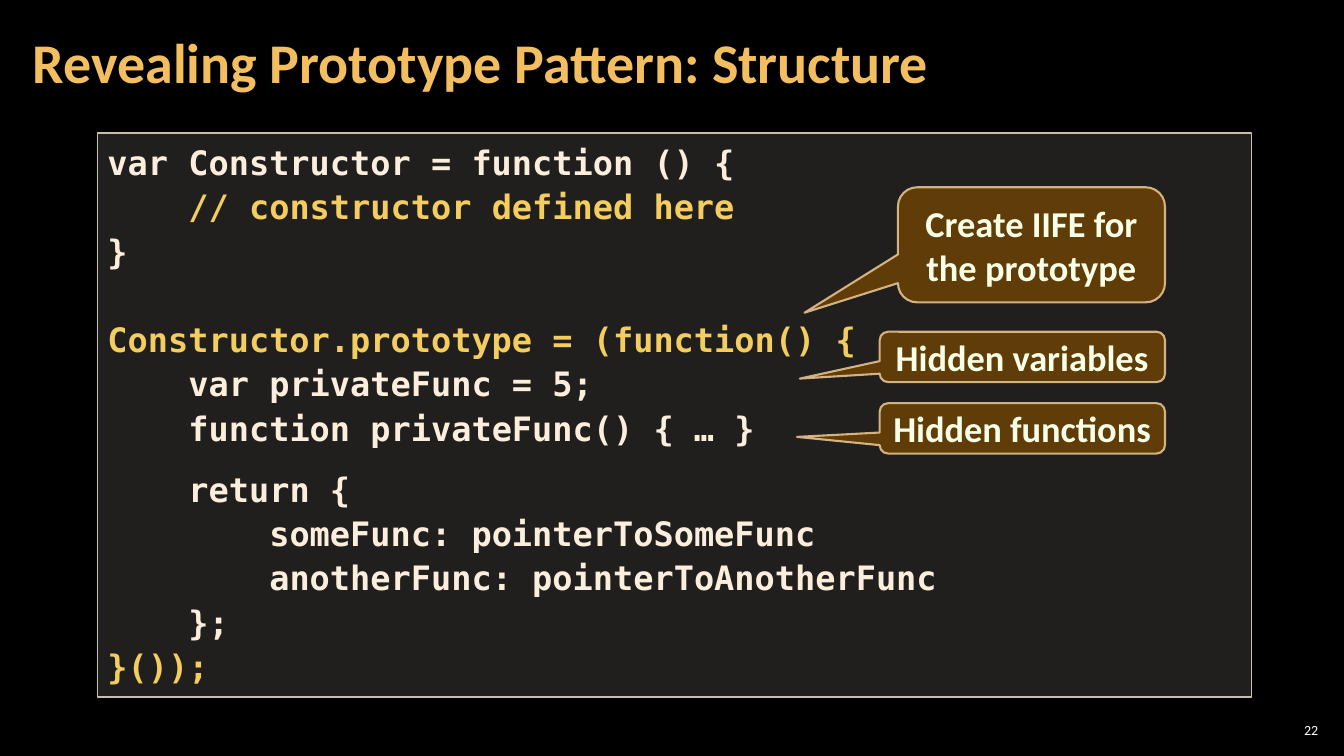
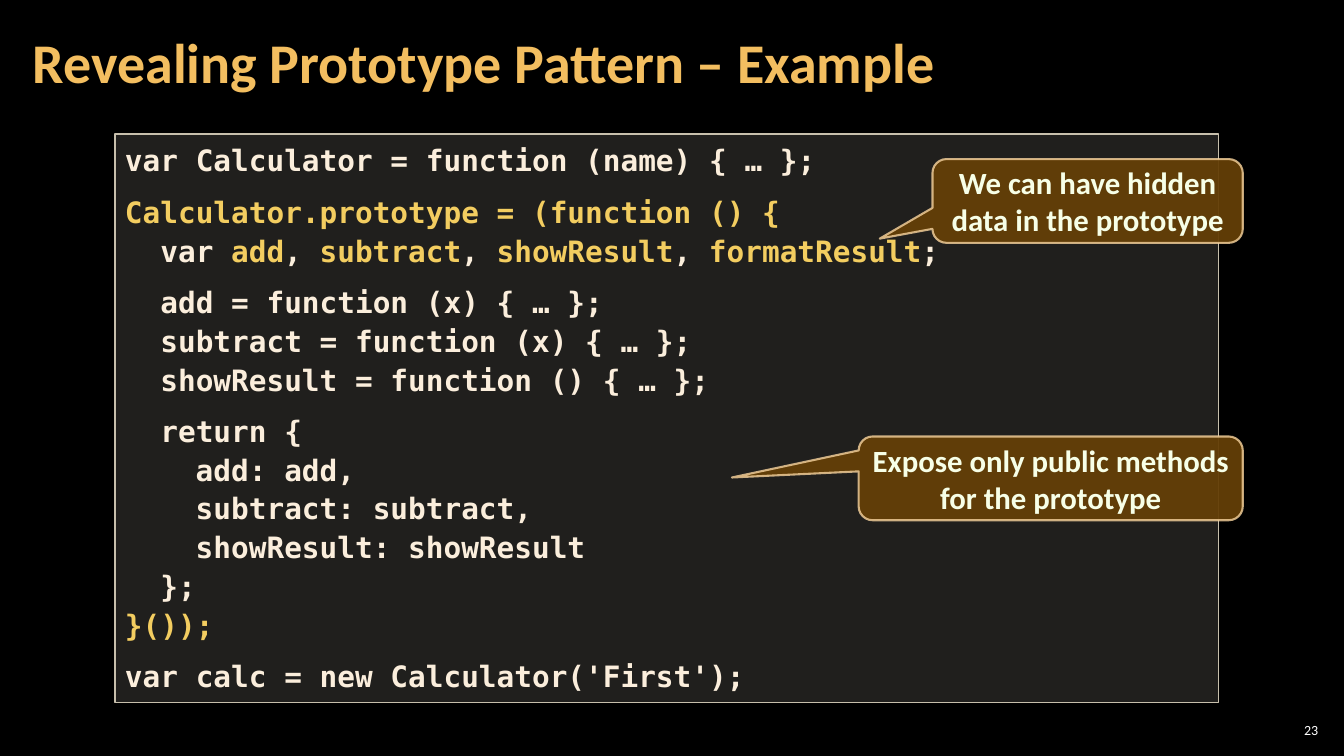
from dataclasses import dataclass
from lxml.etree import SubElement
from pptx import Presentation
from pptx.dml.color import RGBColor as RGB
from pptx.enum.shapes import MSO_SHAPE as SHAPE
from pptx.enum.text import MSO_ANCHOR as ANCHOR, PP_ALIGN as ALIGN
from pptx.oxml.ns import qn
from pptx.util import Cm, Pt


@dataclass(frozen=True)
class Theme:
    background: RGB = RGB.from_string("000000")
    title: RGB = RGB.from_string("F3BE60")
    number: RGB = RGB.from_string("FFFFFF")
    code: RGB = RGB.from_string("FBEEDC")
    highlight: RGB = RGB.from_string("F3CD60")
    panel: RGB = RGB.from_string("D9D5C7")
    panel_line: RGB = RGB.from_string("C7BFAC")
    callout: RGB = RGB.from_string("643F07")
    callout_line: RGB = RGB.from_string("F8D49E")
    callout_text: RGB = RGB.from_string("F7FFE7")
    sans: str = "Calibri"
    mono: str = "DejaVu Sans Mono"
    title_size: int = 40
    number_size: int = 10


T = Theme()
FIRST_NUMBER = 22
MONO_ADVANCE = 0.602  # character width as a share of the type size

# Code lines: (indent in characters, points before, text); text between bars is highlighted.
# Callouts: (left, top, width, height in cm, pointer x, pointer y, text).
SLIDES = [
    dict(
        title="Revealing Prototype Pattern: Structure",
        panel=(2.46, 3.35, 29.08, 14.22),
        code_size=24,
        code=[
            (0, 0, "var Constructor = function () {"),
            (4, 0, "|// constructor defined here|"),
            (0, 0, "}"),
            (0, 31.5, "|Constructor.prototype = (function() {|"),
            (4, 0, "var privateFunc = 5;"),
            (4, 0, "function privateFunc() { … }"),
            (4, 12, "return {"),
            (8, 0, "someFunc: pointerToSomeFunc"),
            (8, 0, "anotherFunc: pointerToAnotherFunc"),
            (4, 0, "};"),
            (0, 0, "|}());|"),
        ],
        callout_size=26,
        callouts=[
            (22.63, 4.72, 6.73, 2.9, -0.85, 0.59, "Create IIFE for the prototype"),
            (22.17, 8.36, 7.19, 1.27, -0.78, 0.43, "Hidden variables"),
            (22.17, 10.16, 7.19, 1.27, -0.79, 0.17, "Hidden functions"),
        ],
    ),
    dict(
        title="Revealing Prototype Pattern – Example",
        panel=(2.9, 3.38, 27.81, 14.33),
        code_size=21,
        code=[
            (0, 0, "var Calculator = function (name) { … };"),
            (0, 9, "|Calculator.prototype = (function () {|"),
            (2, 0, "var |add|, |subtract|, |showResult|, |formatResult|;"),
            (2, 9, "add = function (x) { … };"),
            (2, 0, "subtract = function (x) { … };"),
            (2, 0, "showResult = function () { … };"),
            (2, 9, "return {"),
            (4, 0, "add: add,"),
            (4, 0, "subtract: subtract,"),
            (4, 0, "showResult: showResult"),
            (2, 0, "};"),
            (0, 0, "|}());|"),
            (0, 9, "var calc = new Calculator('First');"),
        ],
        callout_size=22,
        callouts=[
            (23.5, 4.01, 7.82, 2.11, -0.67, 0.45, "We can have hidden data in the prototype"),
            (21.64, 11, 9.68, 2.11, -0.83, -0.01, "Expose only public methods for the prototype"),
        ],
    ),
]


def add_run(p, text, font, size, color, bold=True):
    r = p.add_run()
    r.text = text
    r.font.name, r.font.size, r.font.bold = font, Pt(size), bold
    r.font.color.rgb = color


def add_box(s, preset, place, fill, line, width, opacities):
    """Add a shape; opacities are the percentages for fill and line."""
    sp = s.shapes.add_shape(preset, *map(Cm, place))
    sp.shadow.inherit = False
    sp.fill.solid()
    sp.fill.fore_color.rgb = fill
    sp.line.color.rgb = line
    sp.line.width = Pt(width)
    colors = sp.element.spPr.iter(qn("a:srgbClr"))
    for color, opacity in zip(list(colors), opacities):
        SubElement(color, qn("a:alpha")).set("val", str(opacity * 1000))
    sp.text_frame.word_wrap = True
    return sp


prs = Presentation()
prs.slide_width, prs.slide_height = Cm(33.87), Cm(19.05)
background = prs.slide_master.background.fill
background.solid()
background.fore_color.rgb = T.background

layout = prs.slide_layouts.get_by_name("Title Only")
title = layout.placeholders[0]
title.left, title.top, title.width, title.height = map(Cm, (0.53, 0.1, 26.59, 3.07))
tf = title.text_frame
tf.vertical_anchor = ANCHOR.MIDDLE
tf.margin_left = tf.margin_right = Cm(0.3)
tf.margin_top = tf.margin_bottom = Cm(0.1)

for number, content in enumerate(SLIDES, FIRST_NUMBER):
    s = prs.slides.add_slide(layout)

    p = s.shapes.title.text_frame.paragraphs[0]
    p.alignment = ALIGN.LEFT
    p.line_spacing = 0.9
    add_run(p, content["title"], T.sans, T.title_size, T.title)

    tf = s.shapes.add_textbox(*map(Cm, (32.13, 18.14, 1.19, 0.53))).text_frame
    tf.word_wrap = True
    tf.vertical_anchor = ANCHOR.MIDDLE
    tf.margin_left = tf.margin_right = tf.margin_top = tf.margin_bottom = Cm(0.1)
    p = tf.paragraphs[0]
    p.alignment = ALIGN.RIGHT
    add_run(p, str(number), T.sans, T.number_size, T.number, bold=False)

    panel = add_box(s, SHAPE.RECTANGLE, content["panel"], T.panel, T.panel_line, 1, (15, 100))
    tf = panel.text_frame
    tf.vertical_anchor = ANCHOR.TOP
    size = content["code_size"]
    for i, (indent, before, text) in enumerate(content["code"]):
        p = tf.add_paragraph() if i else tf.paragraphs[0]
        p.alignment = ALIGN.LEFT
        p.line_spacing = 1.1
        p.space_before = Pt(before)
        p._p.get_or_add_pPr().set("marL", str(Pt(indent * MONO_ADVANCE * size)))
        for k, part in enumerate(text.split("|")):
            if part:
                add_run(p, part, T.mono, size, T.highlight if k % 2 else T.code)

    for *place, pointer_x, pointer_y, text in content["callouts"]:
        callout = add_box(s, SHAPE.ROUNDED_RECTANGULAR_CALLOUT, place,
                          T.callout, T.callout_line, 1.5, (95, 80))
        callout.adjustments[0], callout.adjustments[1] = pointer_x, pointer_y
        tf = callout.text_frame
        tf.vertical_anchor = ANCHOR.MIDDLE
        p = tf.paragraphs[0]
        p.alignment = ALIGN.CENTER
        add_run(p, text, T.sans, content["callout_size"], T.callout_text)

prs.save("out.pptx")
